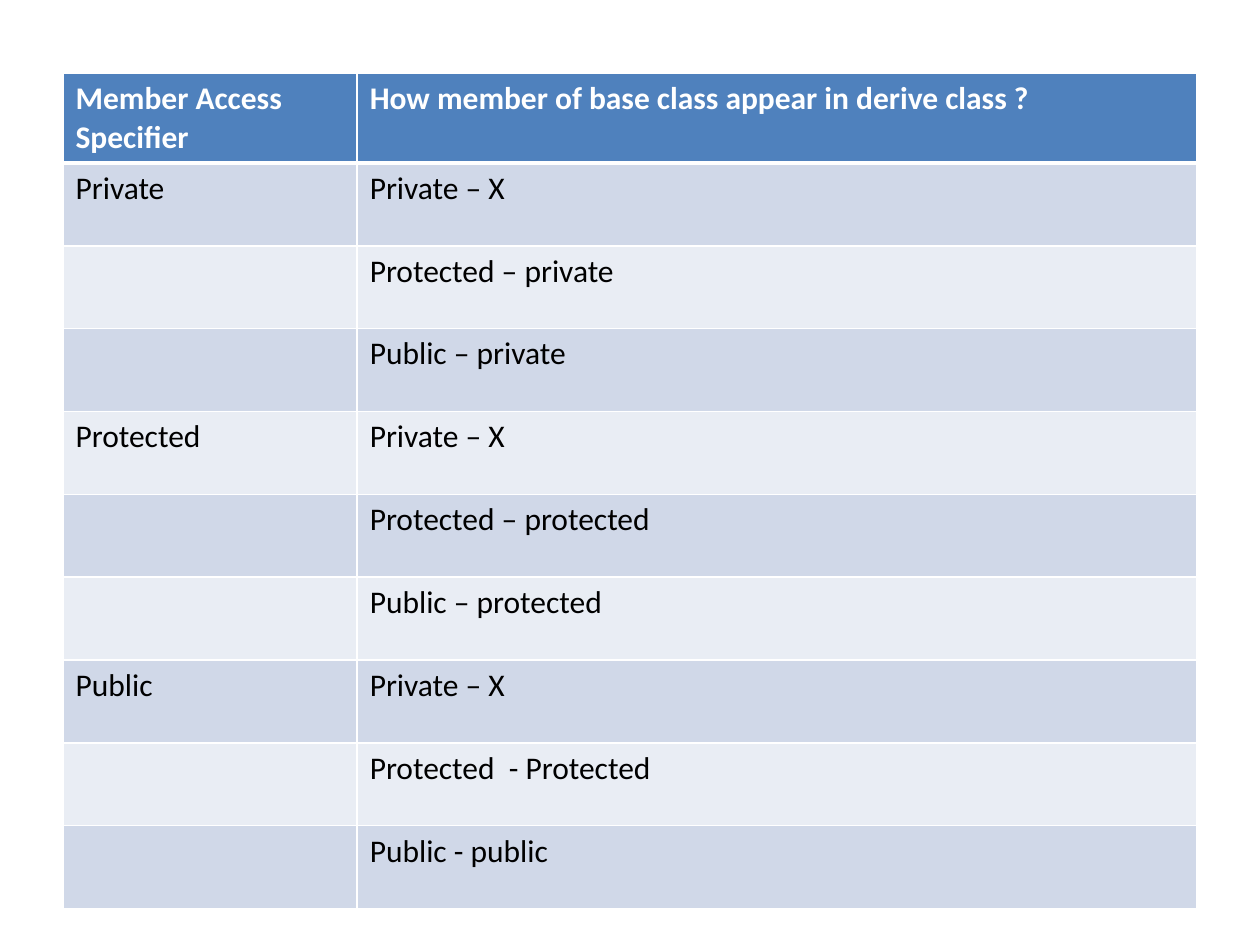
from lxml import etree
from pptx import Presentation
from pptx import util as u
from pptx.dml.color import RGBColor
from pptx.oxml import ns

COLORS = {"header": "4F81BD", "odd": "D0D8E8", "even": "E9EDF4",
          "line": "FFFFFF", "head_text": "FFFFFF", "text": "000000"}

HEADINGS = ("Member Access Specifier",
            "How member of base class appear in derive class ?")
ACCESS = {
    "Private": ("Private – X", "Protected – private", "Public – private"),
    "Protected": ("Private – X", "Protected – protected", "Public – protected"),
    "Public": ("Private – X", "Protected  - Protected", "Public - public"),
}


def write(tf, text, font="Calibri", size=18, color="text", bold=False):
    p = tf.paragraphs[0]
    p.font.size = u.Pt(size)
    if text:
        r = p.add_run()
        r.text = text
        r.font.name = font
        r.font.size = u.Pt(size)
        r.font.bold = bold
        r.font.color.rgb = RGBColor.from_string(COLORS[color])


class Deck:
    def __init__(self, width, height):
        self.prs = Presentation()
        self.prs.slide_width, self.prs.slide_height = u.Cm(width), u.Cm(height)
        self.s = self.prs.slides.add_slide(self.prs.slide_layouts[6])

    def borders(self, cell, top, bottom):
        tcPr = cell._tc.get_or_add_tcPr()
        for side, width in (("L", 1), ("R", 1), ("T", top), ("B", bottom)):
            ln = etree.SubElement(tcPr, ns.qn(f"a:ln{side}"), w=str(u.Pt(width)))
            fill = etree.SubElement(ln, ns.qn("a:solidFill"))
            etree.SubElement(fill, ns.qn("a:srgbClr"), val=COLORS["line"])

    def table(self, rows, left, top, widths, row_height):
        tbl = self.s.shapes.add_table(
            len(rows), len(widths), u.Cm(left), u.Cm(top),
            u.Cm(sum(widths)), u.Cm(row_height * len(rows))).table
        for col, width in zip(tbl.columns, widths):
            col.width = u.Cm(width)
        for i, values in enumerate(rows):
            tbl.rows[i].height = u.Cm(row_height)
            band = "header" if i == 0 else "odd" if i % 2 else "even"
            for j, value in enumerate(values):
                cell = tbl.cell(i, j)
                self.borders(cell, 3 if i == 1 else 1, 3 if i == 0 else 1)
                cell.fill.solid()
                cell.fill.fore_color.rgb = RGBColor.from_string(COLORS[band])
                write(cell.text_frame, value, bold=i == 0,
                      color="text" if i else "head_text")


def main():
    deck = Deck(25.4, 19.05)
    rows = [HEADINGS]
    for specifier, results in ACCESS.items():
        rows += zip((specifier, "", ""), results)
    deck.table(rows, left=1.27, top=1.48, widths=(5.93, 16.93), row_height=1.67)
    deck.prs.save("out.pptx")


if __name__ == "__main__":
    main()
